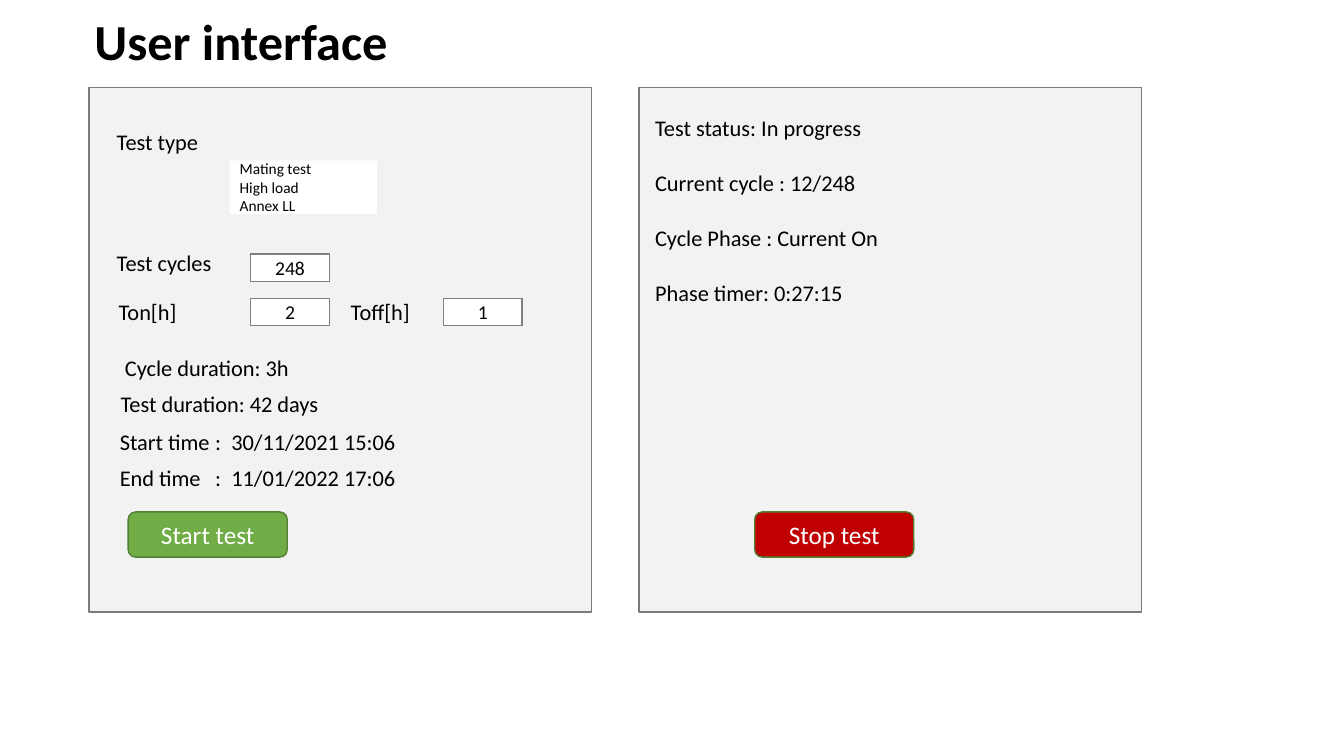
from lxml import etree
from pptx import Presentation
from pptx.dml.color import RGBColor
from pptx.enum import shapes, text
from pptx.oxml.ns import qn
from pptx.util import Cm, Pt

BLACK = RGBColor(0, 0, 0)
WHITE = RGBColor(255, 255, 255)
PALE = RGBColor(0xF2, 0xF2, 0xF2)
GREY = RGBColor(0x7A, 0x7A, 0x7A)
EDGE = RGBColor(0x80, 0x80, 0x80)
GREEN = RGBColor(0x70, 0xAD, 0x47)
DARK = RGBColor(0x53, 0x80, 0x35)
RED = RGBColor(0xC0, 0, 0)

RECT = shapes.MSO_SHAPE.RECTANGLE
ROUND = shapes.MSO_SHAPE.ROUNDED_RECTANGLE
LEFT, MID = text.PP_ALIGN.LEFT, text.PP_ALIGN.CENTER

# All lengths are in centimetres.
TITLE = "User interface"
PANELS = [16.1, 2.24]
TYPES = "Mating test\nHigh load\nAnnex LL"
LABELS = [  # wording, left, top, width
    ("Test type", 2.69, 3.1, 2.59),
    ("Test cycles", 2.69, 6.15, 2.92),
    ("Ton[h]", 2.74, 7.39, 1.98),
    ("Toff[h]", 8.59, 7.39, 2.03),
    ("Cycle duration: 3h", 2.9, 8.81, 4.7),
    ("Test duration: 42 days", 2.79, 9.7, 5.56),
    ("Start time\t:\t30/11/2021 15:06", 2.77, 10.67, 7.55),
    ("End time\t:\t11/01/2022 17:06", 2.77, 11.58, 7.55),
]
STATUS = [  # wording, width
    ("Test status: In progress", 5.77),
    ("Current cycle : 12/248", 5.64),
    ("Cycle Phase : Current On", 6.2),
    ("Phase timer: 0:27:15", 5.31),
]
FIELDS = [("248", 6.32, 6.4), ("2", 6.32, 7.52), ("1", 11.18, 7.52)]
BUTTONS = [("Start test", 3.23, GREEN), ("Stop test", 19.02, RED)]
TABS = [2.4, 2.81]

deck = Presentation()
deck.slide_width, deck.slide_height = Cm(33.87), Cm(19.05)
slide = deck.slides.add_slide(deck.slide_layouts[6])


def write(shape, words, size, color=BLACK, align=LEFT, bold=False):
    frame = shape.text_frame
    frame.text = words
    for para in frame.paragraphs:
        if "\t" in words:
            stops = etree.SubElement(para._p.get_or_add_pPr(), qn("a:tabLst"))
            for pos in TABS:
                etree.SubElement(stops, qn("a:tab"), pos=str(Cm(pos)), algn="l")
        para.alignment = align
        for run in para.runs:
            font = run.font
            font.name, font.size, font.bold = "Calibri", Pt(size), bold
            font.color.rgb = color
    return frame


def block(kind, x, y, w, h, fill, line=None):
    shape = slide.shapes.add_shape(kind, Cm(x), Cm(y), Cm(w), Cm(h))
    shape.shadow.inherit = False
    shape.fill.solid()
    shape.fill.fore_color.rgb = fill
    if line is None:
        shape.line.fill.background()
    else:
        shape.line.color.rgb = line
        shape.line.width = Pt(1)
    shape.text_frame.vertical_anchor = text.MSO_ANCHOR.MIDDLE
    return shape


def label(words, x, y, w):
    box = slide.shapes.add_textbox(Cm(x), Cm(y), Cm(w), Cm(0.94))
    frame = write(box, words, 16)
    frame.word_wrap = False
    frame.auto_size = text.MSO_AUTO_SIZE.SHAPE_TO_FIT_TEXT


head = slide.shapes.add_textbox(Cm(2.13), Cm(0.43), Cm(29.21), Cm(1.35))
frame = write(head, TITLE, 36, bold=True)
frame.word_wrap = True
frame.vertical_anchor = text.MSO_ANCHOR.MIDDLE
frame.paragraphs[0].line_spacing = 0.9

for x in PANELS:
    block(RECT, x, 2.21, 12.67, 13.21, PALE, GREY)

write(block(RECT, 5.79, 4.04, 3.71, 1.35, WHITE), TYPES, 11)

for item in LABELS:
    label(*item)
for row, (words, w) in enumerate(STATUS):
    label(words, 16.26, 2.74 + 1.39 * row, w)

for words, x, y in FIELDS:
    write(block(RECT, x, y, 1.98, 0.69, WHITE, EDGE), words, 14, align=MID)
for words, x, fill in BUTTONS:
    write(block(ROUND, x, 12.9, 4.01, 1.14, fill, DARK), words, 18, WHITE, MID)

deck.save("out.pptx")
